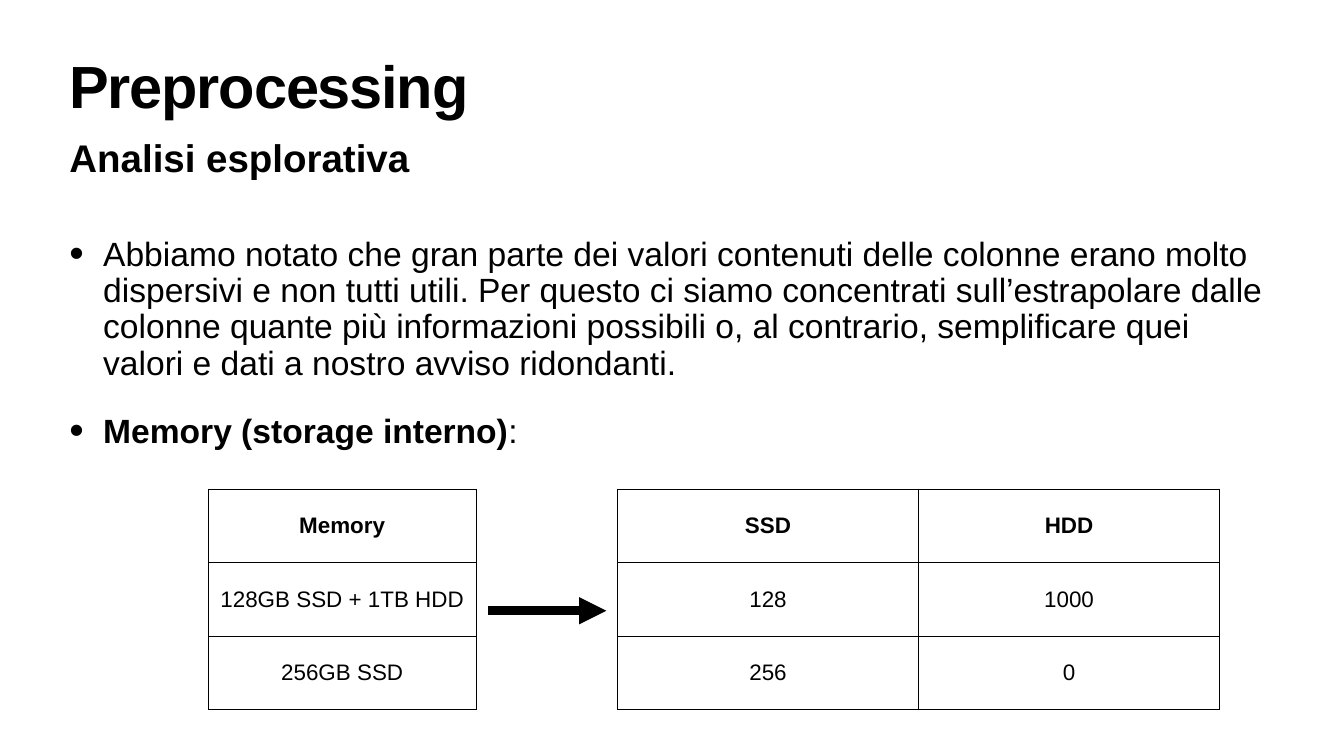
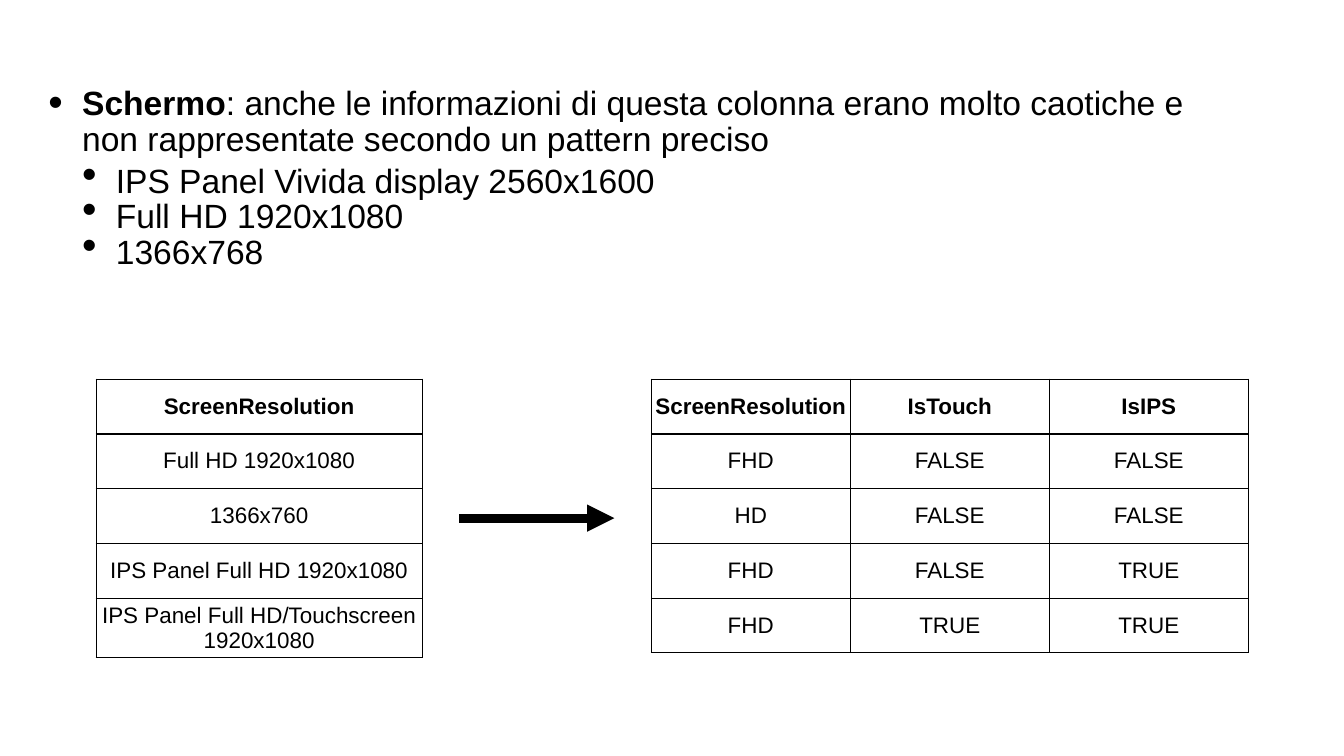
from lxml import etree
from pptx import Presentation
from pptx.dml.color import RGBColor
from pptx.enum.shapes import MSO_CONNECTOR
from pptx.enum.text import MSO_ANCHOR, PP_ALIGN
from pptx.oxml.ns import qn
from pptx.util import Cm, Pt

STRAIGHT = MSO_CONNECTOR.STRAIGHT
TOP, MIDDLE = MSO_ANCHOR.TOP, MSO_ANCHOR.MIDDLE
LEFT, CENTER = PP_ALIGN.LEFT, PP_ALIGN.CENTER

COLORS = {"ink": "000000", "paper": "FFFFFF"}
FONT = "Arial"
TITLE_ONLY, BLANK = 5, 6
MARGIN = 3.35
CONTENT_WIDTH = 61.04
INSET = Cm(0.15)
INDENT = 1.7


def color(name):
    return RGBColor.from_string(COLORS[name])


def write(para, text, size=48, bold=False, tracking=None):
    """Add a formatted run of text to a paragraph."""
    span = para.add_run()
    span.text = text
    span.font.name = FONT
    span.font.size = Pt(size)
    span.font.bold = bold
    span.font.color.rgb = color("ink")
    if tracking is not None:
        span.font._element.set("spc", str(round(tracking * 100)))


def set_frame(frame, anchor=TOP):
    frame.word_wrap = True
    frame.vertical_anchor = anchor
    frame.margin_left = frame.margin_right = INSET
    frame.margin_top = frame.margin_bottom = INSET


def add_slide(deck, layout):
    slide = deck.slides.add_slide(deck.slide_layouts[layout])
    slide.background.fill.solid()
    slide.background.fill.fore_color.rgb = color("paper")
    return slide


def add_text_box(slide, left, top, width, height, anchor=TOP):
    box = slide.shapes.add_textbox(Cm(left), Cm(top), Cm(width), Cm(height))
    set_frame(box.text_frame, anchor)
    return box.text_frame


def set_title(slide, text):
    title = slide.shapes.title
    title.left, title.top = Cm(MARGIN), Cm(3)
    title.width, title.height = Cm(CONTENT_WIDTH), Cm(3.99)
    set_frame(title.text_frame)
    para = title.text_frame.paragraphs[0]
    para.alignment = LEFT
    para.line_spacing = 0.8
    write(para, text, size=85, bold=True, tracking=-1.7)


def add_bullets(frame, items):
    """Each item is (level, line spacing, [(text, bold), ...])."""
    for index, (level, spacing, spans) in enumerate(items):
        para = frame.add_paragraph() if index else frame.paragraphs[0]
        para.level = level
        para.line_spacing = spacing
        para.space_before = Pt(45)
        properties = para._p.get_or_add_pPr()
        properties.set("marL", str(Cm(INDENT * (level + 1))))
        properties.set("indent", str(Cm(-INDENT)))
        etree.SubElement(properties, qn("a:buSzPct"), val="123000")
        etree.SubElement(properties, qn("a:buFont"), typeface=FONT)
        etree.SubElement(properties, qn("a:buChar"), char="•")
        for text, bold in spans:
            write(para, text, bold=bold)


def set_borders(cell, bottom):
    properties = cell._tc.get_or_add_tcPr()
    widths = {"L": 1, "R": 1, "T": 1, "B": bottom}
    for index, (side, width) in enumerate(widths.items()):
        line = etree.Element(qn(f"a:ln{side}"), w=str(Pt(width)))
        fill = etree.SubElement(line, qn("a:solidFill"))
        etree.SubElement(fill, qn("a:srgbClr"), val=COLORS["ink"])
        properties.insert(index, line)


def add_grid(slide, left, top, column_width, row_height, rows):
    """Add a table with a bold first row and equal columns and rows."""
    columns = len(rows[0])
    table = slide.shapes.add_table(
        len(rows), columns, Cm(left), Cm(top),
        Cm(column_width * columns), Cm(row_height * len(rows))).table
    table.first_row = table.horz_banding = False
    for column in table.columns:
        column.width = Cm(column_width)
    for row_index, values in enumerate(rows):
        table.rows[row_index].height = Cm(row_height)
        is_header = row_index == 0
        for column_index, value in enumerate(values):
            cell = table.cell(row_index, column_index)
            cell.fill.background()
            cell.vertical_anchor = MIDDLE
            cell.margin_left = cell.margin_right = INSET
            cell.margin_top = cell.margin_bottom = INSET
            para = cell.text_frame.paragraphs[0]
            para.alignment = CENTER
            write(para, value, size=32, bold=is_header)
            set_borders(cell, bottom=3 if is_header else 1)


def add_arrow(slide, start, end, y):
    arrow = slide.shapes.add_connector(STRAIGHT, Cm(start), Cm(y), Cm(end), Cm(y))
    arrow.line.color.rgb = color("ink")
    arrow.line.width = Pt(13)
    etree.SubElement(arrow.line._get_or_add_ln(), qn("a:tailEnd"), type="triangle")
    etree.SubElement(arrow._element.spPr, qn("a:effectLst"))


def build_memory_slide(deck):
    slide = add_slide(deck, TITLE_ONLY)
    set_title(slide, "Preprocessing")
    subtitle = add_text_box(slide, MARGIN, 6.6, CONTENT_WIDTH, 2.59)
    write(subtitle.paragraphs[0], "Analisi esplorativa", size=55, bold=True)
    body = add_text_box(slide, MARGIN, 11.81, CONTENT_WIDTH, 22.94)
    add_bullets(body, [
        (0, 0.9, [("Abbiamo notato che gran parte dei valori contenuti delle "
                   "colonne erano molto dispersivi e non tutti utili. Per questo "
                   "ci siamo concentrati sull’estrapolare dalle colonne quante "
                   "più informazioni possibili o, al contrario, semplificare "
                   "quei valori e dati a nostro avviso ridondanti.", False)]),
        (0, 0.9, [("Memory (storage interno)", True), (":", False)]),
    ])
    add_grid(slide, 10.49, 24.64, 13.51, 3.71,
             [["Memory"], ["128GB SSD + 1TB HDD"], ["256GB SSD"]])
    add_grid(slide, 31.12, 24.64, 15.17, 3.71,
             [["SSD", "HDD"], ["128", "1000"], ["256", "0"]])
    add_arrow(slide, 24.59, 30.56, 30.78)


def build_screen_slide(deck):
    slide = add_slide(deck, BLANK)
    body = add_text_box(slide, 2.29, 3.99, 58.62, 9.73, MIDDLE)
    examples = ["IPS Panel Vivida display 2560x1600", "Full HD 1920x1080", "1366x768"]
    add_bullets(body, [
        (0, 0.9, [("Schermo", True),
                  (": anche le informazioni di questa colonna erano molto "
                   "caotiche e non rappresentate secondo un pattern preciso", False)]),
        *[(1, 0.1, [(example, False)]) for example in examples],
    ])
    add_grid(slide, 4.83, 19.1, 16.46, 2.76, [
        ["ScreenResolution"],
        ["Full HD 1920x1080"],
        ["1366x760"],
        ["IPS Panel Full HD 1920x1080"],
        ["IPS Panel Full HD/Touchscreen 1920x1080"],
    ])
    add_arrow(slide, 23.14, 30.96, 26.11)
    add_grid(slide, 32.82, 19.1, 10.03, 2.76, [
        ["ScreenResolution", "IsTouch", "IsIPS"],
        ["FHD", "FALSE", "FALSE"],
        ["HD", "FALSE", "FALSE"],
        ["FHD", "FALSE", "TRUE"],
        ["FHD", "TRUE", "TRUE"],
    ])


def main():
    deck = Presentation()
    deck.slide_width, deck.slide_height = Cm(67.73), Cm(38.1)
    build_memory_slide(deck)
    build_screen_slide(deck)
    deck.save("out.pptx")


if __name__ == "__main__":
    main()
